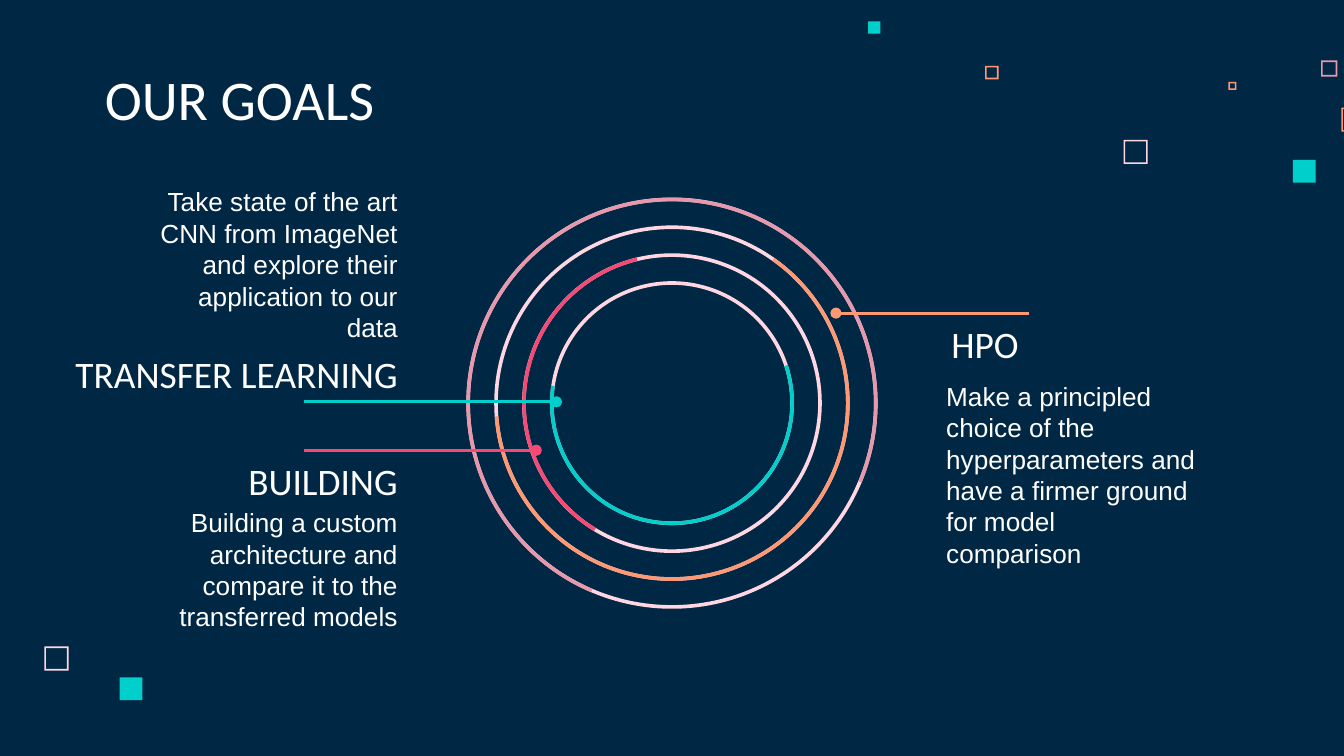
from pptx import Presentation
from pptx.dml.color import RGBColor
from pptx.enum.shapes import MSO_CONNECTOR, MSO_SHAPE
from pptx.enum.text import MSO_ANCHOR, MSO_AUTO_SIZE, PP_ALIGN
from pptx.oxml.ns import qn
from pptx.util import Inches, Pt
from lxml import etree

TOP, BOTTOM = MSO_ANCHOR.TOP, MSO_ANCHOR.BOTTOM
LEFT, RIGHT = PP_ALIGN.LEFT, PP_ALIGN.RIGHT
FRAME, SQUARE = MSO_SHAPE.FRAME, MSO_SHAPE.RECTANGLE
DONUT, ARC = MSO_SHAPE.DONUT, MSO_SHAPE.BLOCK_ARC

NAVY = RGBColor(0x00, 0x28, 0x45)
WHITE = RGBColor(0xFF, 0xFF, 0xFF)
PALE = RGBColor(0xFF, 0xD6, 0xE1)
MAUVE = RGBColor(0xE8, 0x98, 0xAC)
ORANGE = RGBColor(0xFF, 0x99, 0x73)
ROSE = RGBColor(0xF6, 0x49, 0x75)
TEAL = RGBColor(0x00, 0xCF, 0xCC)

deck = Presentation()
deck.slide_width, deck.slide_height = Inches(10), Inches(5.625)
GRID = deck.slide_width / 100  # square grid, 100 columns wide
page = deck.slides.add_slide(deck.slide_layouts.get_by_name("Comparison"))
page.background.fill.solid()
page.background.fill.fore_color.rgb = NAVY


def add_solid(preset, left, top, size, color):
    shape = page.shapes.add_shape(
        preset, *(round(n * GRID) for n in (left, top, size, size)))
    shape.shadow.inherit = False
    shape.fill.solid()
    shape.fill.fore_color.rgb = color
    shape.line.fill.background()
    return shape


def write(box, place, text, font, size, align, anchor):
    box.left, box.top, box.width, box.height = (round(n * GRID) for n in place)
    frame = box.text_frame
    frame.text = text
    frame.word_wrap = True
    frame.auto_size = MSO_AUTO_SIZE.NONE
    frame.vertical_anchor = anchor
    frame.margin_left = frame.margin_right = Inches(0.1)
    frame.margin_top = frame.margin_bottom = Inches(0.1)
    para = frame.paragraphs[0]
    properties = para._p.get_or_add_pPr()
    properties.set("marL", "0")
    properties.set("indent", "0")
    etree.SubElement(properties, qn("a:buNone"))
    para.alignment = align
    para.space_before = Pt(0)
    para.font.name, para.font.size = font, Pt(size)
    para.font.bold = False
    para.font.color.rgb = WHITE


# Scattered squares
for left, top, size, color in (
    (83.6, 10.4, 1.8, PALE), (98.3, 4.5, 1.2, MAUVE), (91.4, 6.1, 0.6, ORANGE),
    (99.8, 8, 1.8, ORANGE), (73.3, 4.9, 1, ORANGE), (3.3, 48.1, 1.8, PALE),
):
    add_solid(FRAME, left, top, size, color).adjustments[0] = 0.12 / size
for left, top, size in ((96.2, 11.9, 1.7), (64.6, 1.6, 0.9), (8.9, 50.4, 1.7)):
    add_solid(SQUARE, left, top, size, TEAL)

# Title, then a heading and a description for each goal
write(page.shapes.title, (6.8, 4.5, 51.7, 6.3), "OUR GOALS", "Calibri", 30, LEFT, BOTTOM)
goals = (
    ("TRANSFER LEARNING", (3.5, 25.1, 27.1, 7.1), TOP, RIGHT,
     "Take state of the art CNN from ImageNet and explore their application to our data",
     (9.6, 19.4, 21, 7.1), BOTTOM),
    ("HPO", (69.8, 22.9, 20.6, 7.1), TOP, LEFT,
     "Make a principled choice of the hyperparameters and have a firmer ground "
     "for model comparison",
     (69.4, 36.2, 20.6, 7.1), BOTTOM),
    ("BUILDING", (10, 31.3, 20.6, 7.1), BOTTOM, RIGHT,
     "Building a custom architecture and compare it to the transferred models",
     (10, 36.7, 20.6, 7.1), TOP),
)
bodies = list(page.placeholders)[1:]
for body, goal in zip(bodies, goals):
    heading, heading_place, heading_anchor, align, text, place, anchor = goal
    heading_box = page.shapes.add_textbox(0, 0, 0, 0)
    write(heading_box, heading_place, heading, "Calibri", 20, align, heading_anchor)
    write(body, place, text, "Arial", 14, align, anchor)
spare = bodies[-1].element
spare.getparent().remove(spare)

# Concentric rings, each with a coloured arc: start, end, rotation
CENTER_X, CENTER_Y = 50, 30
rings = (
    (MAUVE, 157.91, 103.6, 210),
    (ORANGE, 183.14, 105.39, 0),
    (ROSE, 24.12, 105.1, 81.2),
    (TEAL, 197.21, 105.1, 13.1),
)
for preset in (DONUT, ARC):
    for number, (color, start, end, rotation) in enumerate(rings):
        size = 30.6 - 4.15 * number
        ring = add_solid(preset, CENTER_X - size / 2, CENTER_Y - size / 2, size,
                         PALE if preset == DONUT else color)
        thickness = 0.27 / size
        if preset == DONUT:
            ring.adjustments[0] = thickness
        else:
            ring.rotation = rotation
            for index, value in enumerate((start, end, thickness)):
                ring.adjustments[index] = value

# Pointers ending in a dot on their ring
for start, end, row, color in (
    (22.6, 41.4, 29.9, TEAL), (22.6, 39.9, 33.5, ROSE), (76.6, 62.2, 23.3, ORANGE),
):
    pointer = page.shapes.add_connector(
        MSO_CONNECTOR.STRAIGHT, *(round(n * GRID) for n in (start, row, end, row)))
    pointer.line.color.rgb = color
    pointer.line.width = Pt(1.5)
    etree.SubElement(pointer.line._get_or_add_ln(), qn("a:tailEnd"), type="oval")
    etree.SubElement(pointer._element.spPr, qn("a:effectLst"))

deck.save("out.pptx")
